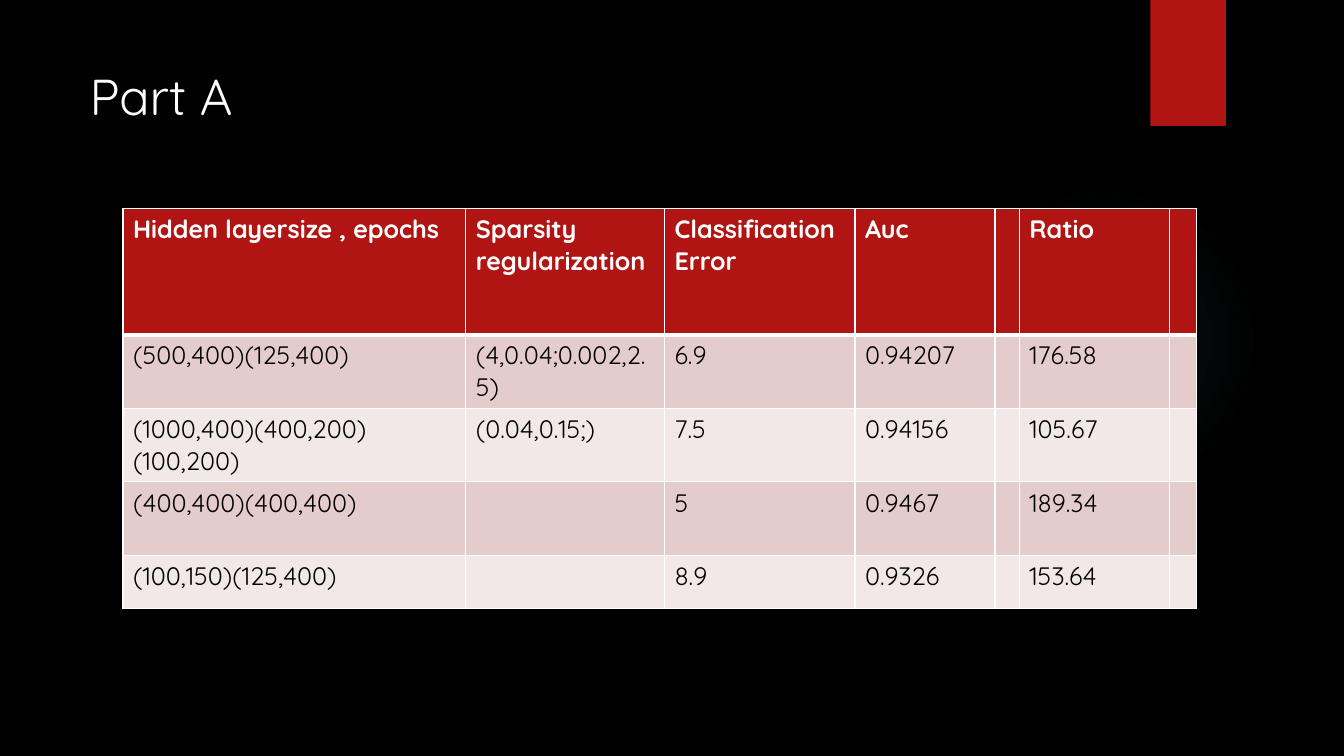
import pptx
import pptx.dml.color
import pptx.enum.shapes
import pptx.enum.text
import pptx.oxml
import pptx.oxml.ns
import pptx.util
from pptx.util import Inches

COLORS = {
    "background": "000000",
    "accent": "B01513",
    "glow": "50B9C1",
    "light": "FFFFFF",
    "dark": "000000",
    "odd_row": "E4CCCC",
    "even_row": "F2E8E7",
}
FONT = "Quicksand"
NAMESPACE = pptx.oxml.ns.nsdecls("a")
COLUMN_WIDTHS = [3.4, 1.97, 1.89, 1.39, 0.23, 1.49, 0.27]
ROW_HEIGHTS = [1.25, 0.73, 0.73, 0.73, 0.53]
RESULTS = [
    ["Hidden layersize , epochs", "Sparsity regularization", "Classification\nError", "Auc", "", "Ratio", ""],
    ["(500,400)(125,400)", "(4,0.04;0.002,2.5)", "6.9", "0.94207", "", "176.58", ""],
    ["(1000,400)(400,200)(100,200)", "(0.04,0.15;)", "7.5", "0.94156", "", "105.67", ""],
    ["(400,400)(400,400)", "", "5", "0.9467", "", "189.34", ""],
    ["(100,150)(125,400)", "", "8.9", "0.9326", "", "153.64", ""],
]


def rgb(name):
    return pptx.dml.color.RGBColor.from_string(COLORS[name])


def format_text(text_frame, size, color, bold=False):
    for paragraph in text_frame.paragraphs:
        for run in paragraph.runs:
            formats = {"name": FONT, "size": pptx.util.Pt(size), "bold": bold}
            for attribute, value in formats.items():
                setattr(run.font, attribute, value)
            run.font.color.rgb = rgb(color)


presentation = pptx.Presentation()
presentation.slide_width = Inches(13.33)
presentation.slide_height = Inches(7.5)
slide = presentation.slides.add_slide(presentation.slide_layouts[6])
slide.background.fill.solid()
slide.background.fill.fore_color.rgb = rgb("background")

# Faint glow behind the table
shape_types = pptx.enum.shapes.MSO_SHAPE
glow = slide.shapes.add_shape(shape_types.OVAL, Inches(9.41), Inches(1.83), Inches(3.08), Inches(3.08))
glow.shadow.inherit = False
glow.line.fill.background()
stops = "".join(
    f'<a:gs pos="{position}000"><a:srgbClr val="{COLORS["glow"]}">'
    f'<a:alpha val="{opacity}000"/></a:srgbClr></a:gs>'
    for position, opacity in [(0, 7), (36, 6), (69, 0)]
)
gradient = pptx.oxml.parse_xml(
    f'<a:gradFill {NAMESPACE} rotWithShape="1"><a:gsLst>{stops}</a:gsLst><a:path path="circle">'
    '<a:fillToRect l="50000" t="50000" r="50000" b="50000"/></a:path></a:gradFill>'
)
glow.element.spPr.find(pptx.oxml.ns.qn("a:prstGeom")).addnext(gradient)

# Red tab at the top
tab = slide.shapes.add_shape(shape_types.RECTANGLE, Inches(11.41), 0, Inches(0.75), Inches(1.25))
tab.shadow.inherit = False
tab.fill.solid()
tab.fill.fore_color.rgb = rgb("accent")
tab.line.fill.background()

# Results table
table = slide.shapes.add_table(
    len(ROW_HEIGHTS), len(COLUMN_WIDTHS), Inches(1.22), Inches(2.07),
    Inches(sum(COLUMN_WIDTHS)), Inches(sum(ROW_HEIGHTS)),
).table
for column, width in zip(table.columns, COLUMN_WIDTHS):
    column.width = Inches(width)
for row, height in zip(table.rows, ROW_HEIGHTS):
    row.height = Inches(height)

for row_index, texts in enumerate(RESULTS):
    is_header = row_index == 0
    fill = "accent" if is_header else ("even_row", "odd_row")[row_index % 2]
    for column_index, text in enumerate(texts):
        cell = table.cell(row_index, column_index)
        if text:
            cell.text = text
        format_text(cell.text_frame, 18, "light" if is_header else "dark", is_header)
        for side in "LRTB":
            thick = (is_header and side == "B") or (row_index == 1 and side == "T")
            border = pptx.oxml.parse_xml(
                f'<a:ln{side} {NAMESPACE} w="{pptx.util.Pt(3 if thick else 1)}"><a:solidFill>'
                f'<a:srgbClr val="{COLORS["light"]}"/></a:solidFill></a:ln{side}>'
            )
            cell._tc.get_or_add_tcPr().append(border)
        cell.fill.solid()
        cell.fill.fore_color.rgb = rgb(fill)

# Title
title = slide.shapes.add_textbox(Inches(0.79), Inches(0.6), Inches(3.18), Inches(0.71))
title.text_frame.word_wrap = True
title.text_frame.auto_size = pptx.enum.text.MSO_AUTO_SIZE.SHAPE_TO_FIT_TEXT
title.text_frame.text = "Part A"
format_text(title.text_frame, 36, "light")

presentation.save("out.pptx")
